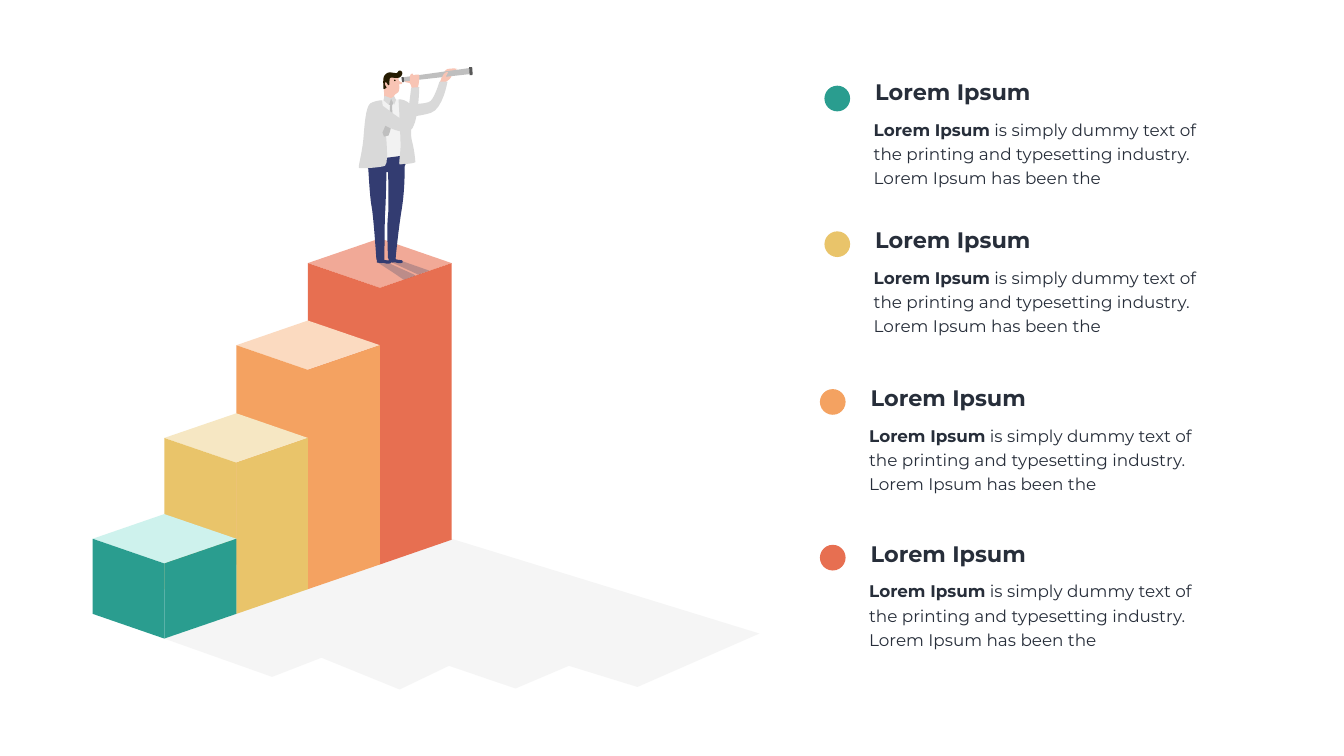
from lxml.etree import SubElement as sub
from pptx import Presentation
from pptx.dml.color import RGBColor
from pptx.enum.shapes import MSO_SHAPE as Kind
from pptx.enum.text import MSO_AUTO_SIZE as Fit
from pptx.oxml.ns import qn
from pptx.util import Pt

PX = 9144  # 100 px to the inch
INK, SKIN, HAIR, NAVY = "272E3A", "F8C4B4", "261C02", "333C71"
COAT, SHIRT, STEEL, DARK = "D9D9D9", "F2F2F2", "BFBFBF", "595959"
TEAL, SAND, AMBER, CORAL = "2A9D8F", "E9C46A", "F4A261", "E76F51"


def rgb(code):
    return RGBColor.from_string(code)


def write(para, text, size=24, bold=False, color=INK, face="Montserrat"):
    run = para.add_run()
    run.text = text
    font = run.font
    font.size, font.bold, font.name = Pt(size), bold, face
    font.color.rgb = rgb(color)


def trace(steps, cuts=8):
    """Turn steps into points: two numbers are a line, six a Bézier curve."""
    points = [steps[0]]
    for step in steps[1:]:
        if len(step) == 2:
            points.append(step)
            continue
        start, (a, b, c, d, e, f) = points[-1], step
        for n in range(1, cuts + 1):
            t = n / cuts
            u = 1 - t
            mix = (u ** 3, 3 * u * u * t, 3 * u * t * t, t ** 3)
            points.append((
                sum(k * v for k, v in zip(mix, (start[0], a, c, e))),
                sum(k * v for k, v in zip(mix, (start[1], b, d, f)))))
    return points


class Deck:
    def __init__(self, wide, high):
        self.file = Presentation()
        self.file.slide_width, self.file.slide_height = wide * PX, high * PX
        self.slide = self.file.slides.add_slide(self.file.slide_layouts[6])
        self.shapes = self.slide.shapes

    def group(self):
        self.shapes = self.slide.shapes.add_group_shape().shapes

    def ungroup(self):
        self.shapes = self.slide.shapes

    def paint(self, shape, color, alpha=100):
        shape.shadow.inherit = False
        shape.fill.solid()
        shape.fill.fore_color.rgb = rgb(color)
        shape.line.fill.background()
        if alpha < 100:
            tint = shape._element.spPr.find(qn("a:solidFill"))[0]
            sub(tint, qn("a:alpha"), val=str(alpha * 1000))

    def outline(self, color, *steps, alpha=100):
        points = [(x * PX, y * PX) for x, y in trace(steps)]
        pen = self.shapes.build_freeform(*points[0], scale=1.0)
        pen.add_line_segments(points[1:], close=True)
        self.paint(pen.convert_to_shape(), color, alpha)

    def dot(self, color, x, y, size):
        spot = self.shapes.add_shape(
            Kind.OVAL, x * PX, y * PX, size * PX, size * PX)
        self.paint(spot, color)

    def text(self, x, y, wide, high, runs, lead=None, size=24):
        box = self.shapes.add_textbox(x * PX, y * PX, wide * PX, high * PX)
        frame = box.text_frame
        frame.word_wrap = True
        frame.auto_size = Fit.SHAPE_TO_FIT_TEXT
        para = frame.paragraphs[0]
        if lead:
            para.line_spacing = lead
        for words, bold in runs:
            write(para, words, size=size, bold=bold)


def stairs(deck):
    # Shadow on the ground
    deck.outline(COAT, (1265, 1363), (1129, 1321), (1023, 1366), (891, 1321),
                 (793, 1368), (638, 1305), (540, 1343), (326, 1267),
                 (896, 1069), (1507, 1257), alpha=25)
    # Blocks, from back to front
    blocks = [(TEAL, "CEF2ED", 1069), (SAND, "F6E7C3", 869),
              (AMBER, "FBDAC0", 685), (CORAL, "F1A997", 522)]
    rise = 49
    for n, (side, top, y) in reversed(list(enumerate(blocks))):
        left, mid, right = (184 + round(142.4 * (n + k)) for k in range(3))
        base = 1267 - rise * n
        deck.outline(top, (mid, y - rise), (left, y), (mid, y + rise), (right, y))
        for edge in (left, right):
            deck.outline(side, (edge, y), (edge, base - rise), (mid, base),
                         (mid, y + rise))


def viewer(deck):
    draw = deck.outline
    # Shadow of the legs
    draw("213961", (801, 555), (825, 547), (820, 544), (767, 520), (775, 517),
         (776, 520), (826, 543), (830, 545), (852, 537), (795, 517), (782, 514),
         (760, 518), (749, 521), (753, 523), (790, 547, 801, 555, 801, 555), alpha=25)
    # Far hand
    draw(SKIN, (871, 169), (871, 169, 876, 155, 878, 150), (880, 145, 883, 139, 888, 137),
         (893, 136, 906, 135, 906, 137), (907, 139, 901, 139, 900, 141),
         (899, 144, 896, 154, 891, 158), (887, 161, 884, 163, 884, 163), (882, 169))
    # Shoes
    for x, y in ((748, 505), (771, 504)):
        draw(NAVY, (x + 25, y + 12), (x + 21, y + 12, x + 15, y + 11, x + 14, y + 10),
             (x + 13, y + 1), (x, y), (x, y + 16), (x + 9, y + 17),
             (x + 12, y + 15, x + 16, y + 18, x + 20, y + 18),
             (x + 25, y + 18, x + 28, y + 18, x + 28, y + 16),
             (x + 28, y + 14, x + 28, y + 13, x + 25, y + 12))
    # Shirt and hips
    draw(SHIRT, (808, 302), (808, 290, 813, 248, 815, 236), (816, 225, 817, 213, 810, 204),
         (802, 195, 771, 198, 771, 198), (771, 198, 751, 199, 738, 205),
         (724, 211, 725, 253, 726, 271), (726, 282, 726, 300, 727, 315),
         (740, 315, 773, 314, 808, 307))
    draw(NAVY, (727, 315), (728, 324, 729, 332, 731, 336), (736, 346, 780, 342, 794, 337),
         (806, 332, 808, 318, 808, 307), (773, 314, 740, 315, 727, 315))
    # Jacket and far arm
    draw(COAT, (758, 199), (758, 199, 776, 324, 764, 329), (753, 333, 712, 335, 712, 333),
         (711, 330, 719, 300, 721, 277), (723, 255, 725, 212, 735, 205),
         (746, 199, 758, 199, 758, 199))
    draw(COAT, (791, 197), (791, 197, 795, 271, 795, 291), (794, 311, 791, 326, 793, 326),
         (796, 327, 822, 324, 824, 322), (824, 322, 825, 322, 822, 301),
         (819, 281, 815, 277, 816, 260), (816, 244, 820, 213, 813, 206),
         (806, 199, 797, 197, 791, 197))
    draw(COAT, (793, 206), (793, 206, 847, 209, 855, 200), (864, 190, 872, 162, 872, 162),
         (888, 162), (888, 162, 879, 216, 855, 224), (832, 231, 802, 233, 802, 233))
    # Legs
    draw(NAVY, (770, 335), (770, 335, 772, 412, 770, 428), (767, 444, 770, 513, 770, 513),
         (785, 513), (785, 513, 791, 450, 798, 410), (804, 371, 803, 325, 803, 325))
    draw(NAVY, (767, 336), (767, 336, 766, 400, 764, 428), (763, 455, 763, 515, 763, 515),
         (747, 515), (747, 515, 741, 424, 737, 407), (734, 391, 731, 336, 731, 336))
    # Thumb and telescope
    draw(SKIN, (804, 160), (804, 160, 803, 162, 805, 163), (807, 164, 811, 164, 813, 165),
         (815, 167, 816, 169, 816, 169), (817, 160), (817, 160, 804, 157, 804, 160))
    draw(STEEL, (933, 147), (798, 162), (796, 154), (932, 135))
    draw(DARK, (802, 162), (801, 163), (798, 163), (797, 153), (801, 153))
    draw(DARK, (938, 147), (937, 149), (932, 149), (931, 133), (937, 133))
    # Head, hair, nose and eye
    draw(SKIN, (763, 199), (763, 199, 760, 157, 762, 153), (764, 149, 775, 145, 782, 147),
         (790, 148, 791, 150, 791, 157), (792, 164, 794, 180, 790, 183),
         (787, 186, 782, 187, 782, 192), (782, 196, 784, 202, 784, 202))
    draw(HAIR, (767, 173), (767, 173, 763, 168, 764, 165), (764, 162, 766, 163, 767, 164),
         (769, 166, 770, 169, 770, 169), (770, 169, 772, 170, 773, 167),
         (773, 165, 772, 164, 773, 160), (773, 156, 774, 154, 777, 154),
         (780, 154, 790, 156, 794, 153), (798, 150, 799, 146, 798, 143),
         (796, 140, 792, 139, 791, 141), (790, 142, 788, 146, 785, 145),
         (782, 145, 775, 143, 771, 144), (767, 145, 761, 150, 761, 156),
         (760, 161, 761, 175, 761, 176), (762, 177, 762, 177, 764, 176),
         (766, 175, 768, 173, 767, 173))
    draw(SKIN, (791, 167), (791, 167, 798, 168, 798, 165), (798, 162, 790, 162, 790, 158))
    deck.dot(HAIR, 782, 158, 3)
    # Tie and collar
    draw(STEEL, (777, 195), (773, 195), (770, 205), (774, 209), (778, 209), (781, 204))
    draw(STEEL, (778, 208), (778, 208, 781, 247, 771, 269), (762, 271), (759, 263),
         (759, 263, 775, 229, 774, 209))
    draw(COAT, (763, 190), (776, 195), (772, 208), (761, 199))
    draw(COAT, (776, 195), (782, 191), (786, 198), (782, 208))
    # Near hand, near arm and far fingers
    draw(SKIN, (818, 178), (829, 178), (829, 178, 832, 161, 832, 157),
         (832, 153, 833, 148, 830, 148), (828, 148, 824, 148, 822, 149),
         (820, 150, 820, 149, 820, 148), (820, 147, 818, 145, 816, 147),
         (813, 149, 813, 155, 814, 162), (815, 168, 818, 178, 818, 178))
    draw(COAT, (735, 210), (735, 210, 741, 201, 753, 206), (764, 211, 802, 246, 806, 237),
         (810, 228, 816, 174, 816, 174), (832, 173), (832, 173, 831, 251, 813, 260),
         (794, 268, 752, 246, 735, 227), (735, 227, 730, 217, 735, 210))
    draw(SKIN, (877, 154), (877, 154, 880, 145, 886, 143), (891, 142, 888, 145, 887, 148),
         (885, 150, 885, 152, 884, 154), (883, 156, 880, 158, 880, 158),
         (880, 158, 876, 158, 877, 154))


def notes(deck):
    # Dot, heading and body of each entry
    rows = [(TEAL, 1636, 150, 170), (SAND, 1636, 444, 459),
            (AMBER, 1627, 757, 772), (CORAL, 1627, 1066, 1081)]
    body = [("Lorem Ipsum", True),
            (" is simply dummy text of the printing and typesetting industry. "
             "Lorem Ipsum has been the", False)]
    for color, x, y, spot in rows:
        deck.dot(color, x, spot, 51)
        deck.text(x + 88, y + 74, 716, 152, body, lead=1.2)
        deck.text(x + 91, y, 456, 64, [("Lorem Ipsum", True)], size=32)


def main():
    deck = Deck(2667, 1500)
    deck.group()
    stairs(deck)
    viewer(deck)
    deck.ungroup()
    notes(deck)
    deck.file.save("out.pptx")


if __name__ == "__main__":
    main()
